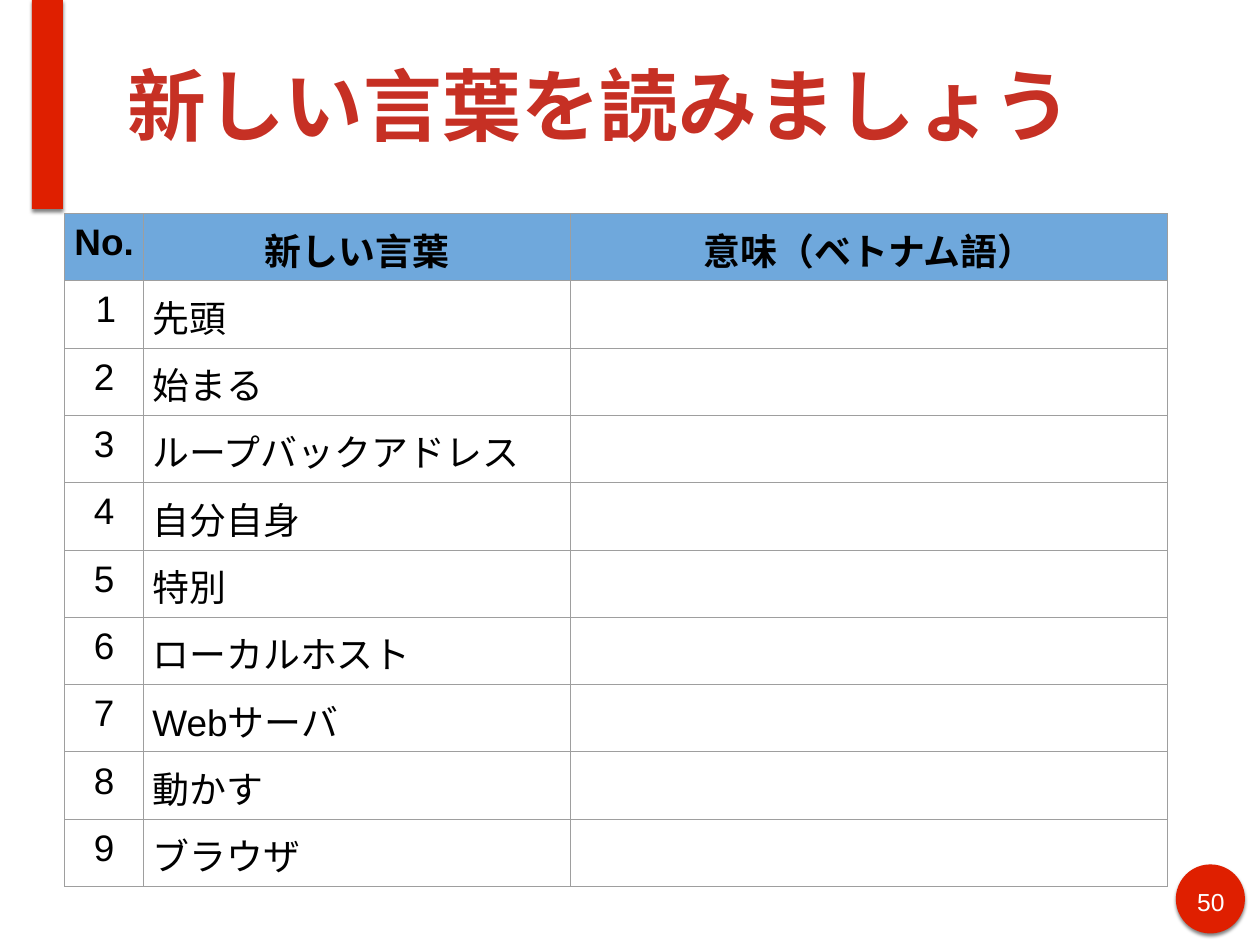
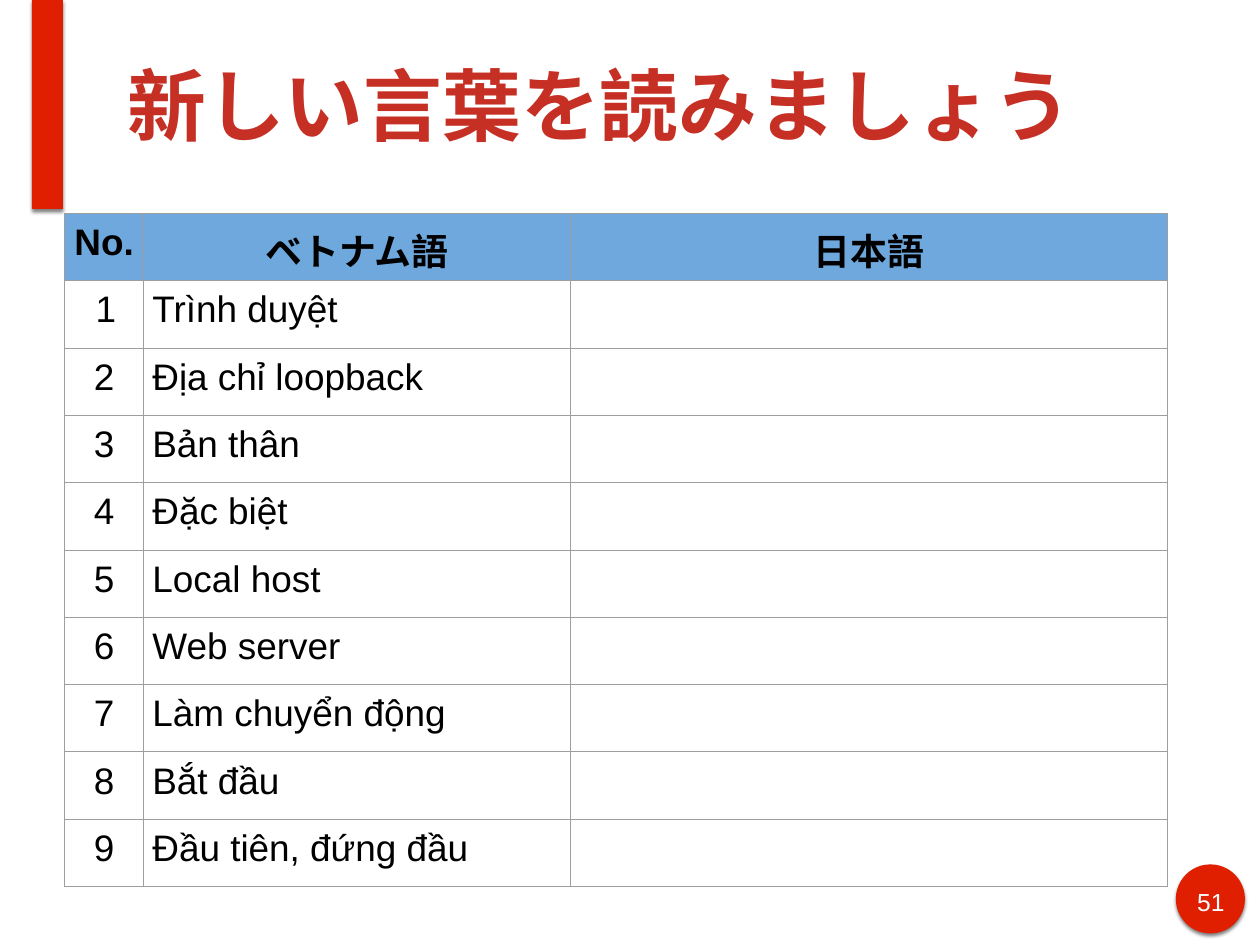
from dataclasses import dataclass

from lxml import etree
from pptx import Presentation
from pptx.dml.color import RGBColor
from pptx.enum.shapes import MSO_SHAPE
from pptx.enum.text import MSO_ANCHOR, PP_ALIGN
from pptx.oxml import parse_xml
from pptx.oxml.ns import nsdecls, qn
from pptx.presentation import Presentation as Deck
from pptx.slide import Slide, SlideLayout
from pptx.table import Table, _Cell as Cell
from pptx.text.text import TextFrame
from pptx.util import Inches, Pt

RED = RGBColor(0xDF, 0x1F, 0x00)
BRICK = RGBColor(0xC6, 0x30, 0x24)
BLUE = RGBColor(0x6F, 0xA8, 0xDC)
GREY = RGBColor(0x9E, 0x9E, 0x9E)
BLACK = RGBColor(0, 0, 0)
WHITE = RGBColor(255, 255, 255)

RECT, OVAL = MSO_SHAPE.RECTANGLE, MSO_SHAPE.OVAL
LEFT, CENTER = PP_ALIGN.LEFT, PP_ALIGN.CENTER
MIDDLE = MSO_ANCHOR.MIDDLE

FONT = "Arial"
TITLE = "新しい言葉を読みましょう"
TITLE_ONLY = 5
COLS = (0.89, 4.82, 6.74)
ROW = 0.76


@dataclass(frozen=True)
class Page:
    number: int
    heads: tuple[str, str]
    words: tuple[str, ...]


PAGES = (
    Page(50, ("新しい言葉", "意味（ベトナム語）"),
         ("先頭", "始まる", "ループバックアドレス", "自分自身", "特別",
          "ローカルホスト", "Webサーバ", "動かす", "ブラウザ")),
    Page(51, ("ベトナム語", "日本語"),
         ("Trình duyệt", "Địa chỉ loopback", "Bản thân", "Đặc biệt",
          "Local host", "Web server", "Làm chuyển động", "Bắt đầu",
          "Đầu tiên, đứng đầu")),
)


def write(frame: TextFrame, text: str, size: float, color: RGBColor,
          bold: bool = False, align: PP_ALIGN = LEFT) -> None:
    frame.text = text
    line = frame.paragraphs[0]
    line.alignment = align
    for run in line.runs:
        font = run.font
        font.name, font.size, font.bold = FONT, Pt(size), bold
        font.color.rgb = color


def set_east(frame: TextFrame) -> None:
    """Use the main font for East Asian letters too."""
    for run in frame.paragraphs[0].runs:
        east = etree.SubElement(run._r.get_or_add_rPr(), qn("a:ea"))
        east.set("typeface", FONT)


def pad(frame: TextFrame) -> None:
    frame.margin_left = frame.margin_right = Inches(0.06)
    frame.margin_top = frame.margin_bottom = Inches(0.06)
    frame.word_wrap = True


def add_accent(slide: Slide, kind: MSO_SHAPE, x: float, y: float,
               w: float, h: float) -> None:
    """Add a red shape with a soft shadow below it."""
    shape = slide.shapes.add_shape(
        kind, Inches(x), Inches(y), Inches(w), Inches(h))
    shape.fill.solid()
    shape.fill.fore_color.rgb = RED
    shape.line.fill.background()
    shape._element.spPr.append(parse_xml(
        f'<a:effectLst {nsdecls("a")}>'
        f'<a:outerShdw blurRad="{Pt(3)}" dist="{Pt(2)}" dir="5400000" '
        'rotWithShape="0"><a:srgbClr val="000000"><a:alpha val="50000"/>'
        '</a:srgbClr></a:outerShdw></a:effectLst>'))


def set_title(layout: SlideLayout) -> None:
    title = layout.placeholders[0]
    title.left, title.top = Inches(1.38), Inches(0.12)
    title.width, title.height = Inches(12.14), Inches(2.12)


def add_frame(slide: Slide, number: int) -> None:
    """Add the title, the side band and the page number."""
    add_accent(slide, OVAL, 13.27, 9.76, 0.78, 0.78)
    add_accent(slide, RECT, 0.36, 0, 0.35, 2.36)
    box = slide.shapes.add_textbox(
        Inches(13.42), Inches(9.95), Inches(0.49), Inches(0.39))
    pad(box.text_frame)
    write(box.text_frame, str(number), 20, WHITE, align=CENTER)
    head = slide.shapes.title.text_frame
    pad(head)
    head.vertical_anchor = MIDDLE
    write(head, TITLE, 64, BRICK, bold=True)
    set_east(head)


def style(cell: Cell, fill: RGBColor | None) -> None:
    """Set the margins, borders and fill of a cell."""
    cell.margin_left = cell.margin_right = Inches(0.1)
    cell.margin_top = cell.margin_bottom = Inches(0.1)
    props = cell._tc.get_or_add_tcPr()
    for side in "LRTB":
        props.append(parse_xml(
            f'<a:ln{side} {nsdecls("a")} w="{Pt(0.75)}"><a:solidFill>'
            f'<a:srgbClr val="{GREY}"/></a:solidFill></a:ln{side}>'))
    if fill is None:
        cell.fill.background()
    else:
        cell.fill.solid()
        cell.fill.fore_color.rgb = fill


def fill_table(table: Table, page: Page) -> None:
    rows = [("No.", *page.heads)]
    rows += [(str(i), word, "") for i, word in enumerate(page.words, 1)]
    for r, texts in enumerate(rows):
        top = r == 0
        for c, text in enumerate(texts):
            cell = table.cell(r, c)
            style(cell, BLUE if top else None)
            if text:
                align = CENTER if top or c == 0 else LEFT
                write(cell.text_frame, text, 30, BLACK, top, align)
    first = table.cell(1, 0).text_frame.paragraphs[0]
    first.alignment = LEFT
    props = first._p.get_or_add_pPr()
    props.set("marL", str(Inches(0.5)))
    props.set("indent", str(Inches(-0.25)))


def add_words(slide: Slide, page: Page) -> None:
    count = len(page.words) + 1
    table = slide.shapes.add_table(
        count, len(COLS), Inches(0.73), Inches(2.41),
        Inches(sum(COLS)), Inches(ROW * count)).table
    table.first_row = table.horz_banding = False
    for col, width in zip(table.columns, COLS):
        col.width = Inches(width)
    for row in table.rows:
        row.height = Inches(ROW)
    fill_table(table, page)


def add_page(deck: Deck, page: Page) -> None:
    slide = deck.slides.add_slide(deck.slide_layouts[TITLE_ONLY])
    add_frame(slide, page.number)
    add_words(slide, page)


def main() -> None:
    deck = Presentation()
    deck.slide_width, deck.slide_height = Inches(14.22), Inches(10.67)
    set_title(deck.slide_layouts[TITLE_ONLY])
    for page in PAGES:
        add_page(deck, page)
    deck.save("out.pptx")


if __name__ == "__main__":
    main()
